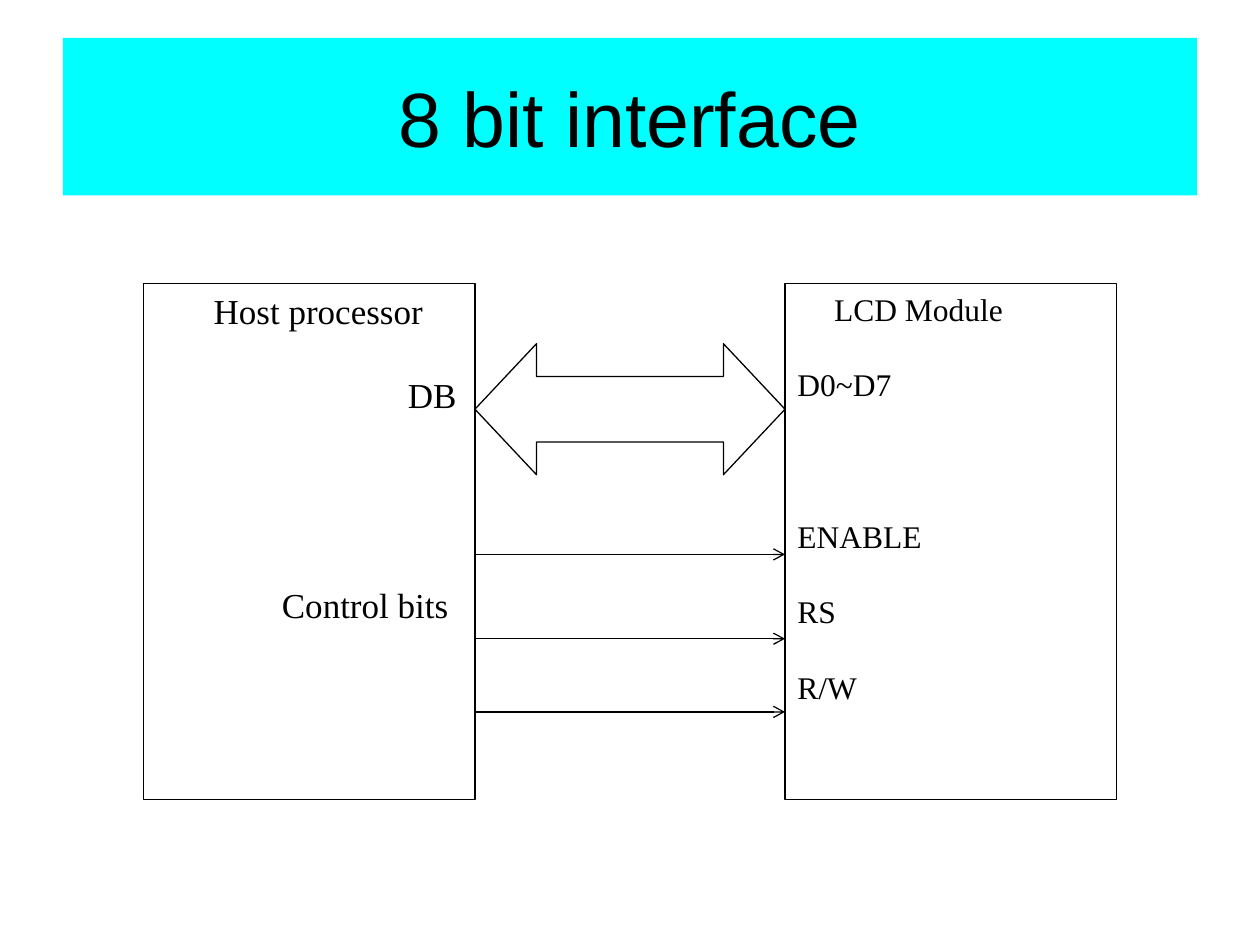
from lxml.etree import SubElement
from pptx import Presentation
from pptx.dml.color import RGBColor
from pptx.enum.shapes import MSO_CONNECTOR, MSO_SHAPE
from pptx.enum.text import MSO_ANCHOR, PP_ALIGN
from pptx.oxml.ns import qn
from pptx.util import Pt

BLACK, WHITE, CYAN = "000000", "FFFFFF", "00FFFF"
LINE_WIDTH = 0.75


def color(hex_string):
    return RGBColor.from_string(hex_string)


def add_box(slide, kind, x, y, w, h, fill=WHITE, line=BLACK):
    sp = slide.shapes.add_shape(kind, Pt(x), Pt(y), Pt(w), Pt(h))
    sp.shadow.inherit = False
    sp.fill.solid()
    sp.fill.fore_color.rgb = color(fill)
    if line:
        sp.line.color.rgb = color(line)
        sp.line.width = Pt(LINE_WIDTH)
    else:
        sp.line.fill.background()
    return sp


def write(p, text, size, font="Times New Roman", align=PP_ALIGN.LEFT,
          indent=0, before=0, leading=None):
    p.alignment = align
    p.space_before = Pt(before)
    if leading:
        p.line_spacing = Pt(leading)
    if indent:
        p._p.get_or_add_pPr().set("marL", str(Pt(indent)))
    r = p.add_run()
    r.text = text
    r.font.size = Pt(size)
    r.font.name = font
    r.font.color.rgb = color(BLACK)


def add_arrow(slide, x1, x2, y):
    line = slide.shapes.add_connector(
        MSO_CONNECTOR.STRAIGHT, Pt(x1), Pt(y), Pt(x2), Pt(y))
    line.line.color.rgb = color(BLACK)
    line.line.width = Pt(LINE_WIDTH)
    SubElement(line.line._get_or_add_ln(), qn("a:tailEnd"), type="arrow")
    SubElement(line._element.spPr, qn("a:effectLst"))


def add_title(slide, x, y, w, h):
    sp = add_box(slide, MSO_SHAPE.RECTANGLE, x, y, w, h, fill=CYAN, line=None)
    tf = sp.text_frame
    tf.word_wrap = True
    tf.vertical_anchor = MSO_ANCHOR.MIDDLE
    write(tf.paragraphs[0], "8 bit interface", 44, font="Arial",
          align=PP_ALIGN.CENTER)


def add_block(slide, x, y, w, h, size, labels):
    """labels: (text, left indent, empty lines above)."""
    sp = add_box(slide, MSO_SHAPE.RECTANGLE, x, y, w, h)
    tf = sp.text_frame
    tf.word_wrap = True
    tf.vertical_anchor = MSO_ANCHOR.TOP
    leading = 1.2 * size
    for i, (text, indent, gap) in enumerate(labels):
        p = tf.add_paragraph() if i else tf.paragraphs[0]
        write(p, text, size, indent=indent, before=gap * leading,
              leading=leading)


def add_diagram(slide, x, y, w, h):
    block_w = 189.4
    left, right = x + block_w, x + w - block_w

    # Processor and display blocks
    add_block(slide, x, y, block_w, h, 20, [
        ("Host processor", 33, 0), ("DB", 144, 1), ("Control bits", 72, 4)])
    add_block(slide, right, y, block_w, h, 18, [
        ("LCD Module", 21, 0), ("D0~D7", 0, 1), ("ENABLE", 0, 3),
        ("RS", 0, 1), ("R/W", 0, 1)])

    # Control lines
    for dy in (154.8, 203, 244.8):
        add_arrow(slide, left, right, y + dy)

    # Data bus
    bus = add_box(slide, MSO_SHAPE.LEFT_RIGHT_ARROW,
                  left, y + 34.4, right - left, 74.9)
    bus.adjustments[0] = 0.5
    bus.adjustments[1] = 0.47


def main():
    prs = Presentation()
    prs.slide_width, prs.slide_height = Pt(720), Pt(540)
    slide = prs.slides.add_slide(prs.slide_layouts[6])
    add_title(slide, 36, 21.6, 648, 90)
    add_diagram(slide, 82, 162, 556, 295)
    prs.save("out.pptx")


if __name__ == "__main__":
    main()
